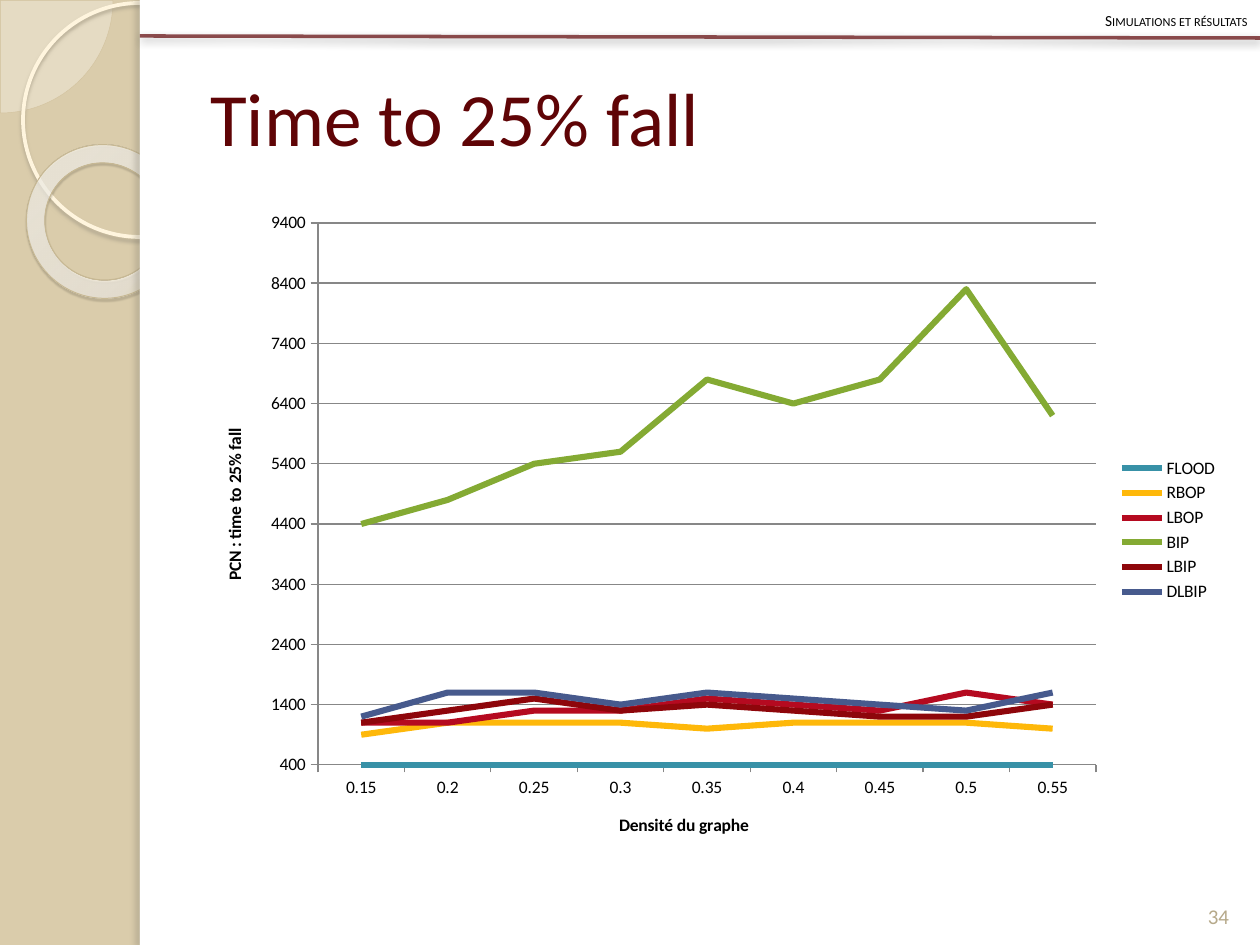
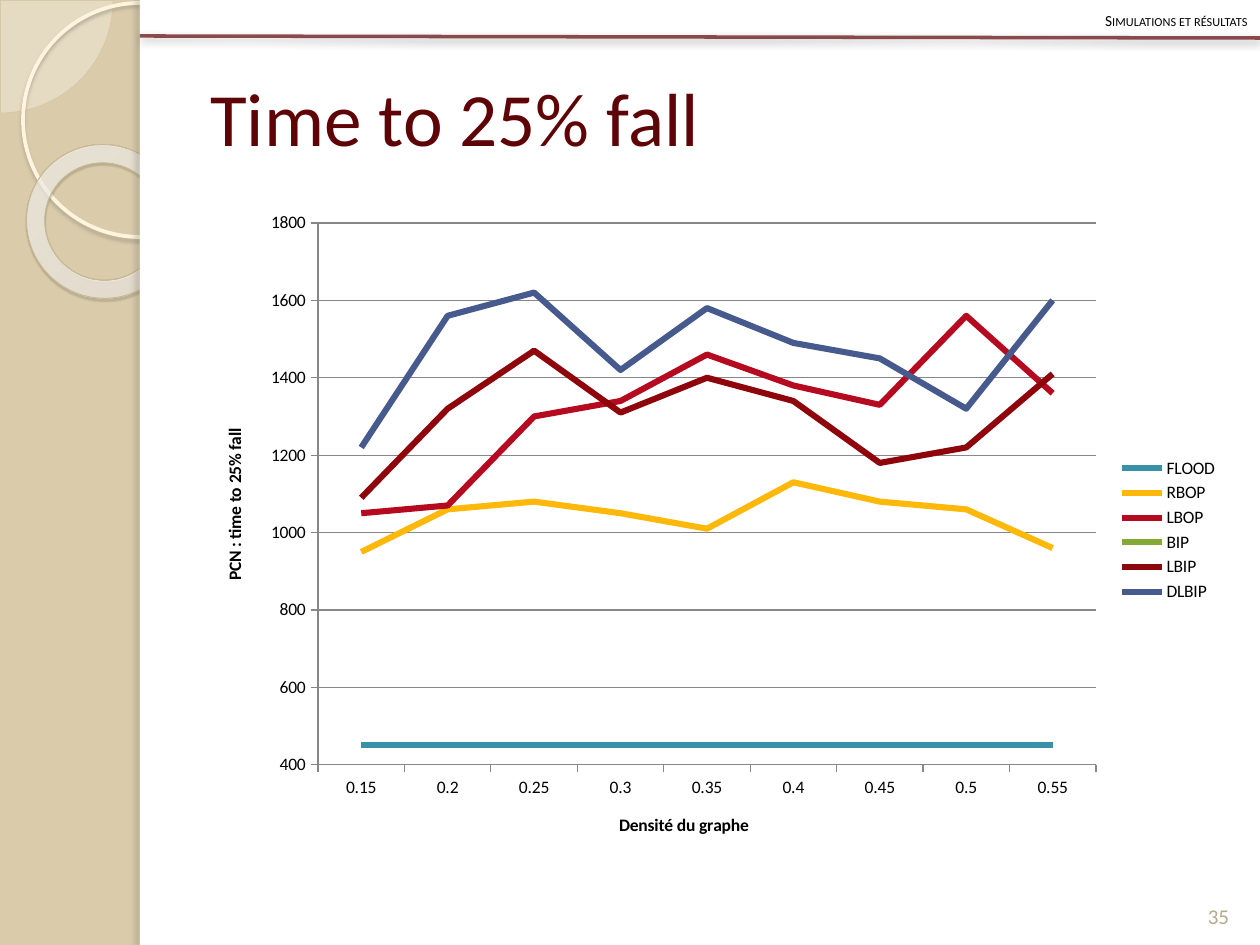
from dataclasses import dataclass
from typing import Optional

from lxml import etree
from pptx import Presentation
from pptx.chart.data import CategoryChartData
from pptx.dml.color import RGBColor
from pptx.enum.chart import XL_CHART_TYPE, XL_LEGEND_POSITION, XL_TICK_MARK
from pptx.enum.shapes import MSO_CONNECTOR, MSO_SHAPE
from pptx.enum.text import MSO_ANCHOR, PP_ALIGN
from pptx.oxml.ns import qn
from pptx.util import Emu, Pt

PIE, ELLIPSE, DONUT, RECTANGLE = (
    MSO_SHAPE.PIE, MSO_SHAPE.OVAL, MSO_SHAPE.DONUT, MSO_SHAPE.RECTANGLE)
STRAIGHT = MSO_CONNECTOR.STRAIGHT
LEFT, CENTER, RIGHT = PP_ALIGN.LEFT, PP_ALIGN.CENTER, PP_ALIGN.RIGHT
MIDDLE, BOTTOM = MSO_ANCHOR.MIDDLE, MSO_ANCHOR.BOTTOM
LINE_CHART = XL_CHART_TYPE.LINE
LEGEND_RIGHT = XL_LEGEND_POSITION.RIGHT
TICK_OUTSIDE, TICK_NONE = XL_TICK_MARK.OUTSIDE, XL_TICK_MARK.NONE

PX = 914400 / 126
SLIDE_WIDTH, SLIDE_HEIGHT = 1260, 945
SIDEBAR_WIDTH = 140


@dataclass(frozen=True)
class Theme:
    font: str = "Calibri"
    sand: str = "DACCAB"
    white: str = "FFFFFF"
    black: str = "000000"
    maroon: str = "5F0406"
    page_number: str = "B6A98A"
    grid: str = "878787"
    title_size: float = 43
    header_size: float = 8.8
    page_number_size: float = 12
    chart_size: float = 10
    series_width: float = 3.5
    grid_width: float = 0.75


THEME = Theme()


@dataclass(frozen=True)
class Box:
    left: int
    top: int
    width: int
    height: int

    def emu(self) -> tuple[Emu, ...]:
        return tuple(px(value) for value in (self.left, self.top, self.width, self.height))


@dataclass(frozen=True)
class Shadow:
    color: str
    opacity: int
    blur: float
    distance: float
    angle: int


@dataclass(frozen=True)
class GradientStop:
    position: int
    color: str
    opacity: int


@dataclass(frozen=True)
class Decoration:
    kind: MSO_SHAPE
    box: Box
    fill: Optional[str] = None
    opacity: int = 100
    gradient: tuple[GradientStop, ...] = ()
    line: Optional[str] = None
    line_width: float = 0
    adjustments: tuple[float, ...] = ()
    rotation: float = 0
    shadow: Optional[Shadow] = None


@dataclass(frozen=True)
class Label:
    box: Box
    size: float
    color: str
    anchor: MSO_ANCHOR
    align: PP_ALIGN = LEFT
    small_caps: bool = False
    line_spacing: float = 1
    space_before: float = 0


@dataclass(frozen=True)
class Series:
    """One protocol: its values on the wide scale (hundreds) and on the close one (tens)."""
    name: str
    color: str
    wide: tuple[int, ...]
    close: tuple[int, ...]


@dataclass(frozen=True)
class ChartSlide:
    number: int
    scale: str
    step: int
    maximum: Optional[int] = None


RING_GRADIENT = (
    GradientStop(0, "FFFCF6", 70),
    GradientStop(70, "FFFEFB", 55),
    GradientStop(100, "F0D28E", 60),
)
PANEL_WIDTH = SLIDE_WIDTH - SIDEBAR_WIDTH
DECORATIONS = (
    Decoration(PIE, Box(-112, -112, 225, 225), "FEFAF4", 33, line="D3C39F",
               line_width=0.25, adjustments=(0, 54.02)),
    Decoration(ELLIPSE, Box(23, 3, 234, 234), line="FFF5DE", line_width=2.15,
               shadow=Shadow("B0A68F", 85, 2, 2, 90)),
    Decoration(DONUT, Box(26, 145, 155, 153), gradient=RING_GRADIENT, line="C7B893",
               line_width=0.58, adjustments=(0.12,), rotation=38.6,
               shadow=Shadow("5A5444", 35, 1, 1.2, 75)),
    Decoration(RECTANGLE, Box(SIDEBAR_WIDTH, 0, PANEL_WIDTH, SLIDE_HEIGHT), THEME.white),
    Decoration(RECTANGLE, Box(SIDEBAR_WIDTH, 0, 10, SLIDE_HEIGHT), THEME.white,
               shadow=Shadow("736F63", 25, 3, 3, 180)),
)
HEADER_SHADOW = Shadow(THEME.black, 43, 5, 2, 90)

TITLE = Label(Box(198, 38, 1033, 157), THEME.title_size, THEME.maroon, MIDDLE)
HEADER = Label(Box(0, 0, SLIDE_WIDTH, 37), THEME.header_size, THEME.black, MIDDLE, RIGHT,
               small_caps=True, line_spacing=1.2, space_before=6)
PAGE_NUMBER = Label(Box(1187, 869, 63, 66), THEME.page_number_size, THEME.page_number,
                    BOTTOM, CENTER)

CHART_BOX = Box(198, 199, 1033, 662)
PLOT_BOX = Box(318, 223, 778, 542)
DENSITIES = ("0.15", "0.2", "0.25", "0.3", "0.35", "0.4", "0.45", "0.5", "0.55")
SERIES = (
    Series("FLOOD", "3891A7", (400,) * len(DENSITIES), (450,) * len(DENSITIES)),
    Series("RBOP", "FEB80A",
           (900, 1100, 1100, 1100, 1000, 1100, 1100, 1100, 1000),
           (950, 1060, 1080, 1050, 1010, 1130, 1080, 1060, 960)),
    Series("LBOP", "B50A20",
           (1100, 1100, 1300, 1300, 1500, 1400, 1300, 1600, 1400),
           (1050, 1070, 1300, 1340, 1460, 1380, 1330, 1560, 1360)),
    Series("BIP", "84AA33",
           (4400, 4800, 5400, 5600, 6800, 6400, 6800, 8300, 6200),
           (4380, 4820, 5450, 5600, 6800, 6440, 6790, 8280, 6200)),
    Series("LBIP", "8E060B",
           (1100, 1300, 1500, 1300, 1400, 1300, 1200, 1200, 1400),
           (1090, 1320, 1470, 1310, 1400, 1340, 1180, 1220, 1410)),
    Series("DLBIP", "475A8D",
           (1200, 1600, 1600, 1400, 1600, 1500, 1400, 1300, 1600),
           (1220, 1560, 1620, 1420, 1580, 1490, 1450, 1320, 1600)),
)
CHART_SLIDES = (ChartSlide(34, "wide", 1000), ChartSlide(35, "close", 200, 1800))


def px(value: int) -> Emu:
    return Emu(round(value * PX))


def rgb(color: str) -> RGBColor:
    return RGBColor.from_string(color)


def add_node(parent, tag: str, **attributes):
    return etree.SubElement(parent, qn(tag), {key: str(value) for key, value in attributes.items()})


def set_opacity(color_parent, percent: int) -> None:
    color = color_parent.find(".//" + qn("a:srgbClr"))
    add_node(color, "a:alpha", val=percent * 1000)


def set_shadow(shape, shadow: Optional[Shadow]) -> None:
    """Replace the inherited shadow by the given one, or by none."""
    properties = shape.element.spPr
    effects = properties.find(qn("a:effectLst"))
    if effects is None:
        effects = add_node(properties, "a:effectLst")
    if shadow:
        outer = add_node(effects, "a:outerShdw", blurRad=Pt(shadow.blur),
                         dist=Pt(shadow.distance), dir=shadow.angle * 60000,
                         algn="tl", rotWithShape=0)
        add_node(outer, "a:srgbClr", val=shadow.color)
        set_opacity(outer, shadow.opacity)


def set_radial_gradient(shape, stops: tuple[GradientStop, ...]) -> None:
    gradient = etree.Element(qn("a:gradFill"), rotWithShape="1")
    stop_list = add_node(gradient, "a:gsLst")
    for stop in stops:
        node = add_node(stop_list, "a:gs", pos=stop.position * 1000)
        add_node(node, "a:srgbClr", val=stop.color)
        set_opacity(node, stop.opacity)
    circle = add_node(gradient, "a:path", path="circle")
    add_node(circle, "a:fillToRect", l=-408000, t=-50000, r=508000, b=150000)
    shape.element.spPr.find(qn("a:prstGeom")).addnext(gradient)


def add_decoration(slide, decoration: Decoration) -> None:
    shape = slide.shapes.add_shape(decoration.kind, *decoration.box.emu())
    shape.rotation = decoration.rotation
    for index, value in enumerate(decoration.adjustments):
        shape.adjustments[index] = value
    if decoration.gradient:
        set_radial_gradient(shape, decoration.gradient)
    elif decoration.fill:
        shape.fill.solid()
        shape.fill.fore_color.rgb = rgb(decoration.fill)
        if decoration.opacity < 100:
            set_opacity(shape.element.spPr, decoration.opacity)
    else:
        shape.fill.background()
    if decoration.line:
        style_line(shape.line, decoration.line, decoration.line_width)
    else:
        shape.line.fill.background()
    shape.shadow.inherit = False
    set_shadow(shape, decoration.shadow)


def add_header_rule(slide) -> None:
    rule = slide.shapes.add_connector(STRAIGHT, px(SIDEBAR_WIDTH), px(36), px(SLIDE_WIDTH), px(38))
    style_line(rule.line, THEME.maroon, 2)
    set_opacity(rule.element.spPr, 70)
    set_shadow(rule, HEADER_SHADOW)


def add_label(slide, label: Label, text: str) -> None:
    frame = slide.shapes.add_textbox(*label.box.emu()).text_frame
    frame.word_wrap = True
    frame.vertical_anchor = label.anchor
    paragraph = frame.paragraphs[0]
    paragraph.alignment = label.align
    paragraph.line_spacing = label.line_spacing
    paragraph.space_before = Pt(label.space_before)
    run = paragraph.add_run()
    run.text = text
    style_font(run.font, label.size, label.color)
    if label.small_caps:
        run.font._element.set("cap", "small")


def style_font(font, size: float, color: str, bold: bool = False) -> None:
    font.name = THEME.font
    font.size = Pt(size)
    font.bold = bold
    font.color.rgb = rgb(color)


def style_line(line, color: str, width: float) -> None:
    line.color.rgb = rgb(color)
    line.width = Pt(width)


def place_in_chart(element, index: int, left: int, top: int, size: tuple[int, ...] = ()) -> None:
    """Fix a chart part at slide coordinates; index is the layout's place among the children."""
    for previous in element.findall(qn("c:layout")):
        element.remove(previous)
    layout = etree.Element(qn("c:layout"))
    element.insert(index, layout)
    manual = add_node(layout, "c:manualLayout")
    if size:
        add_node(manual, "c:layoutTarget", val="inner")
    for mode in ("xMode", "yMode"):
        add_node(manual, "c:" + mode, val="edge")
    lengths = (left - CHART_BOX.left, top - CHART_BOX.top, *size)
    totals = (CHART_BOX.width, CHART_BOX.height) * 2
    for name, length, total in zip("xywh", lengths, totals):
        add_node(manual, "c:" + name, val=round(length / total, 4))


def style_axis(axis, title: str, left: int, top: int) -> None:
    run = axis.axis_title.text_frame.paragraphs[0].add_run()
    run.text = title
    style_font(run.font, THEME.chart_size, THEME.black, bold=True)
    place_in_chart(axis.axis_title.element, 1, left, top)
    axis.major_tick_mark = TICK_OUTSIDE
    axis.minor_tick_mark = TICK_NONE
    style_line(axis.format.line, THEME.grid, THEME.grid_width)


def add_fall_chart(slide, content: ChartSlide) -> None:
    data = CategoryChartData()
    data.categories = DENSITIES
    for series in SERIES:
        data.add_series(series.name, series.wide if content.scale == "wide" else series.close)
    chart = slide.shapes.add_chart(LINE_CHART, *CHART_BOX.emu(), data).chart
    style_font(chart.font, THEME.chart_size, THEME.black)
    chart.has_title = False
    chart.has_legend = True
    chart.legend.position = LEGEND_RIGHT
    chart.legend.include_in_layout = False
    plot = chart.plots[0]
    plot.vary_by_categories = False
    for drawn, series in zip(plot.series, SERIES):
        drawn.smooth = False
        style_line(drawn.format.line, series.color, THEME.series_width)
    style_axis(chart.category_axis, "Densité du graphe", 616, 810)
    value_axis = chart.value_axis
    style_axis(value_axis, "PCN : time to 25% fall", 220, 425)
    value_axis.minimum_scale = 400
    value_axis.maximum_scale = content.maximum
    value_axis.major_unit = content.step
    value_axis.has_major_gridlines = True
    style_line(value_axis.major_gridlines.format.line, THEME.grid, THEME.grid_width)
    place_in_chart(chart.element.find(".//" + qn("c:plotArea")), 0, PLOT_BOX.left, PLOT_BOX.top,
                   (PLOT_BOX.width, PLOT_BOX.height))


def add_chart_slide(presentation, content: ChartSlide) -> None:
    slide = presentation.slides.add_slide(presentation.slide_layouts[6])
    slide.background.fill.solid()
    slide.background.fill.fore_color.rgb = rgb(THEME.sand)
    for decoration in DECORATIONS:
        add_decoration(slide, decoration)
    add_header_rule(slide)
    add_label(slide, TITLE, "Time to 25% fall")
    add_label(slide, HEADER, "Simulations et résultats")
    add_label(slide, PAGE_NUMBER, str(content.number))
    add_fall_chart(slide, content)


presentation = Presentation()
presentation.slide_width, presentation.slide_height = px(SLIDE_WIDTH), px(SLIDE_HEIGHT)
for chart_slide in CHART_SLIDES:
    add_chart_slide(presentation, chart_slide)
presentation.save("out.pptx")
